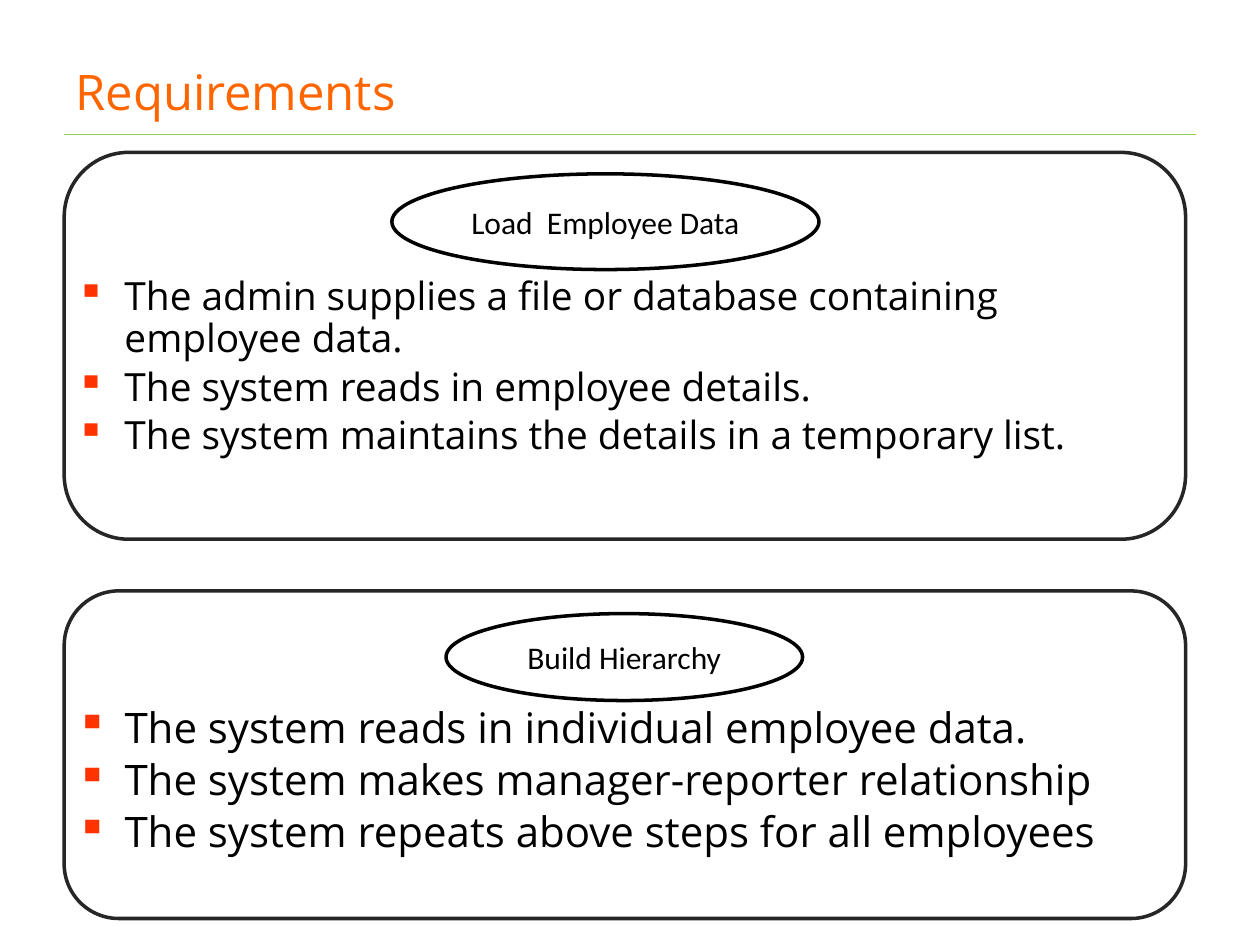
from lxml.etree import SubElement
from pptx import Presentation
from pptx.dml.color import RGBColor
from pptx.enum.shapes import MSO_CONNECTOR as LINE, MSO_SHAPE as SHAPE
from pptx.enum.text import MSO_ANCHOR as ANCHOR, PP_ALIGN as ALIGN
from pptx.oxml.ns import qn
from pptx.util import Inches, Pt

COLORS = {"title": "FF6600", "rule": "92D050", "bullet": "FF3300",
          "text": "000000", "frame": "262626"}
LEFT = 0.51

# Heading, oval box, frame box, list box, text size, gap above, bullet lines
PANELS = [
    ("Load  Employee Data", (3.11, 1.38, 3.39, 0.76), (LEFT, 1.21, 8.9, 3.07),
     (LEFT, 2.15, 9, 1.97), 22.2, 3.7,
     ["The admin supplies a file or database containing employee data.",
      "The system reads in employee details.",
      "The system maintains the details in a temporary list."]),
    ("Build Hierarchy", (3.54, 4.87, 2.83, 0.69), (LEFT, 4.69, 8.9, 2.6),
     (LEFT, 5.56, 9.05, 1.5), 24, 4.1,
     ["The system reads in individual employee data.",
      "The system makes manager-reporter relationship",
      "The system repeats above steps for all employees"]),
]


def color(name):
    return RGBColor.from_string(COLORS[name])


def set_font(para, size, face, tint):
    para.font.size = Pt(size)
    para.font.name = face
    para.font.color.rgb = color(tint)


def add_box(slide, box):
    frame = slide.shapes.add_textbox(*map(Inches, box)).text_frame
    frame.word_wrap = True
    return frame


def add_title(slide, text):
    frame = add_box(slide, (0.5, 0.3, 9, 0.85))
    frame.vertical_anchor = ANCHOR.MIDDLE
    para = frame.paragraphs[0]
    para.text = text
    set_font(para, 28, "Open Sans", "title")


def add_rule(slide):
    y = Inches(1.07)
    rule = slide.shapes.add_connector(
        LINE.STRAIGHT, Inches(LEFT), y, Inches(9.49), y)
    rule.line.color.rgb = color("rule")
    rule.line.width = Pt(0.75)
    SubElement(rule._element.spPr, qn("a:effectLst"))


def add_bullet(para):
    props = para._p.get_or_add_pPr()
    props.set("marL", str(Inches(0.38)))
    props.set("indent", str(-Inches(0.38)))
    tint = SubElement(props, qn("a:buClr"))
    SubElement(tint, qn("a:srgbClr"), val=COLORS["bullet"])
    SubElement(props, qn("a:buChar"), char="▪")


def add_list(slide, box, lines, size, gap):
    frame = add_box(slide, box)
    for i, line in enumerate(lines):
        para = frame.add_paragraph() if i else frame.paragraphs[0]
        para.text = line
        para.line_spacing = 0.9
        para.space_before = Pt(gap)
        add_bullet(para)
        set_font(para, size, "Open Sans", "text")


def add_outline(slide, kind, box, tint):
    shape = slide.shapes.add_shape(kind, *map(Inches, box))
    shape.shadow.inherit = False
    shape.fill.background()
    shape.line.color.rgb = color(tint)
    shape.line.width = Pt(2)
    return shape


def add_oval(slide, box, text):
    frame = add_outline(slide, SHAPE.OVAL, box, "text").text_frame
    frame.vertical_anchor = ANCHOR.MIDDLE
    para = frame.paragraphs[0]
    para.text = text
    para.alignment = ALIGN.CENTER
    set_font(para, 18, "Calibri", "text")


def main():
    deck = Presentation()
    deck.slide_width, deck.slide_height = Inches(10), Inches(7.5)
    slide = deck.slides.add_slide(deck.slide_layouts[6])

    # Header
    add_rule(slide)
    add_title(slide, "Requirements")

    # Requirement panels
    for head, oval, frame, area, size, gap, lines in PANELS:
        add_list(slide, area, lines, size, gap)
        add_oval(slide, oval, head)
        add_outline(slide, SHAPE.ROUNDED_RECTANGLE, frame, "frame")

    deck.save("out.pptx")


if __name__ == "__main__":
    main()
